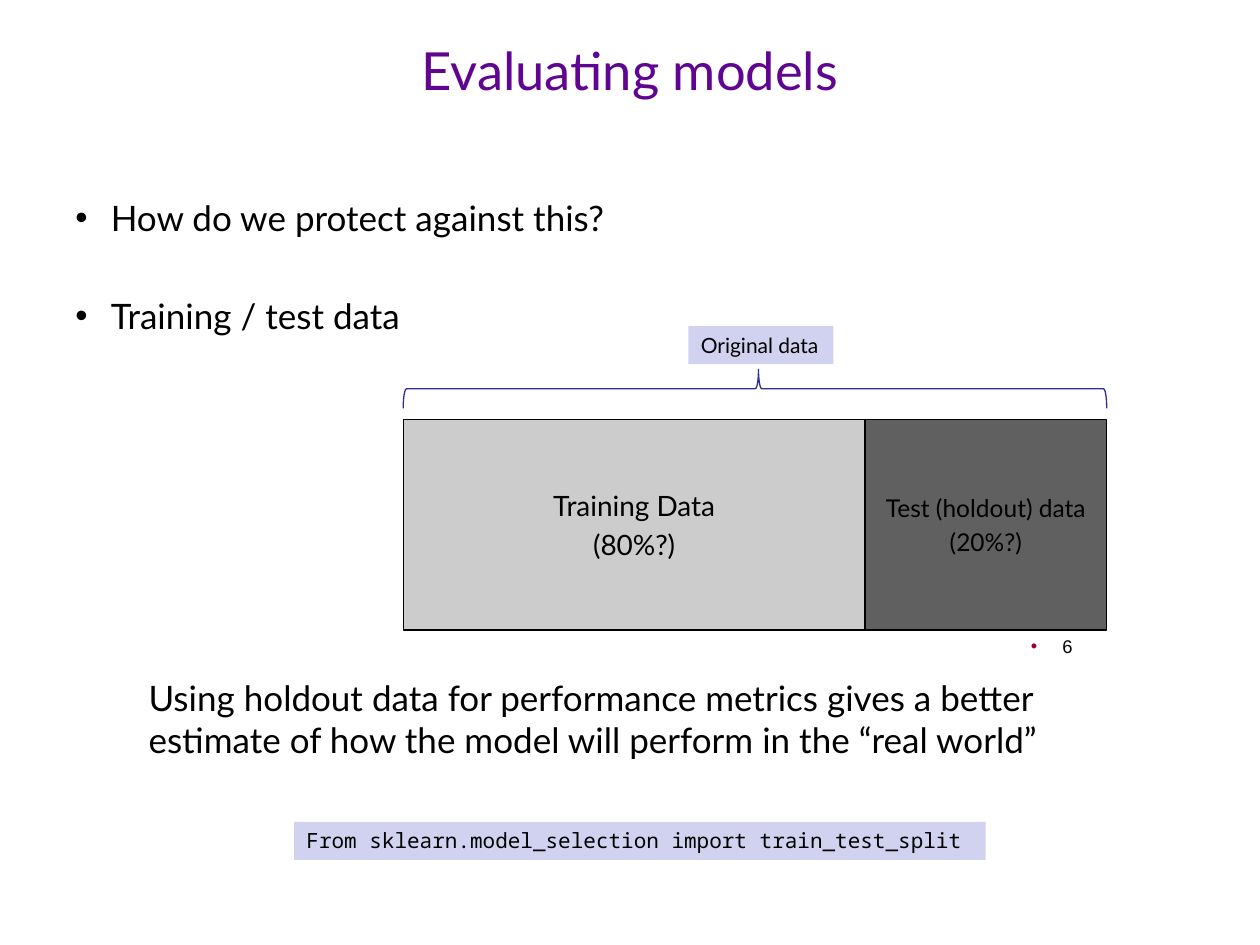
from dataclasses import dataclass
from typing import Any

from lxml import etree
from pptx import Presentation
from pptx.dml.color import RGBColor
from pptx.enum.shapes import MSO_SHAPE
from pptx.enum.text import MSO_ANCHOR, MSO_AUTO_SIZE, PP_ALIGN
from pptx.oxml.ns import qn
from pptx.util import Pt

RECT, BRACE = MSO_SHAPE.RECTANGLE, MSO_SHAPE.LEFT_BRACE
TOP, MIDDLE = MSO_ANCHOR.TOP, MSO_ANCHOR.MIDDLE
LEFT, CENTER, RIGHT = PP_ALIGN.LEFT, PP_ALIGN.CENTER, PP_ALIGN.RIGHT
GROW = MSO_AUTO_SIZE.SHAPE_TO_FIT_TEXT


def rgb(value):
    return RGBColor.from_string(value)


def add_bullet(paragraph, hang, color):
    props = paragraph._p.get_or_add_pPr()
    props.set("marL", str(Pt(hang)))
    props.set("indent", str(-Pt(hang)))
    bullet_color = etree.SubElement(props, qn("a:buClr"))
    etree.SubElement(bullet_color, qn("a:srgbClr"), val=color)
    etree.SubElement(props, qn("a:buFont"), typeface="Arial")
    etree.SubElement(props, qn("a:buChar"), char="•")


def write(frame, *lines, font, size, color="000000", align=LEFT, anchor=TOP,
          wrap=True, grow=False, gap=0, hang=0, bullet="000000"):
    """Put lines into a text frame, one paragraph each."""
    frame.word_wrap = wrap
    frame.vertical_anchor = anchor
    if grow:
        frame.auto_size = GROW
    for number, line in enumerate(lines):
        paragraph = frame.add_paragraph() if number else frame.paragraphs[0]
        if hang:
            add_bullet(paragraph, hang, bullet)
        paragraph.alignment = align
        if number:
            paragraph.space_before = Pt(gap)
        run = paragraph.add_run()
        run.text = line
        run.font.name = font
        run.font.size = Pt(size)
        run.font.color.rgb = rgb(color)


@dataclass
class Deck:
    slide: Any
    font: str = "Lato"
    code_font: str = "Noto Sans Mono"
    label_fill: str = "D1D1F0"
    line_width: float = 0.75

    def text(self, box, *lines, **style):
        shape = self.slide.shapes.add_textbox(*map(Pt, box))
        write(shape.text_frame, *lines, **{"font": self.font, **style})

    def shape(self, kind, box, fill=None, line=None):
        shape = self.slide.shapes.add_shape(kind, *map(Pt, box))
        shape.shadow.inherit = False
        if fill:
            shape.fill.solid()
            shape.fill.fore_color.rgb = rgb(fill)
        else:
            shape.fill.background()
        if line:
            shape.line.color.rgb = rgb(line)
            shape.line.width = Pt(self.line_width)
        else:
            shape.line.fill.background()
        return shape

    def block(self, box, *lines, fill, size):
        shape = self.shape(RECT, box, fill, "000000")
        write(shape.text_frame, *lines, font=self.font, size=size, align=CENTER,
              anchor=MIDDLE, wrap=False, gap=0.2 * size)

    def label(self, box, line, font=None):
        shape = self.shape(RECT, box, self.label_fill)
        write(shape.text_frame, line, font=font or self.font, size=12,
              wrap=False, grow=True)

    def brace_above(self, left, top, width, height, color):
        # A left brace turned a quarter, so its box is upright before rotation
        middle_x, middle_y = left + width / 2, top + height / 2
        box = (middle_x - height / 2, middle_y - width / 2, height, width)
        brace = self.shape(BRACE, box, line=color)
        brace.rotation = 90
        brace.adjustments[0], brace.adjustments[1] = 0.083, 0.495


def main():
    presentation = Presentation()
    presentation.slide_width, presentation.slide_height = Pt(720), Pt(540)
    deck = Deck(presentation.slides.add_slide(presentation.slide_layouts[6]))

    # Title and bullets
    deck.text((36, 10.8, 648, 57.6), "Evaluating models", size=30,
              color="600592", align=CENTER, anchor=MIDDLE)
    deck.text((36, 108.6, 648, 100), "How do we protect against this?",
              "Training / test data", size=20, gap=32, hang=20.25)

    # Page number
    deck.text((452.2, 359.3, 167.8, 37.4), "6", font="Arial", size=10.5,
              align=RIGHT, hang=18, bullet="990033")

    # Split of the data
    left, top, height = 230.4, 239.8, 120.2
    training_width, test_width = 264, 138
    deck.block((left, top, training_width, height),
               "Training Data", "(80%?)", fill="CCCCCC", size=16)
    deck.brace_above(left, 211, training_width + test_width, 22.3, "2F2F98")
    deck.label((393.4, 186.3, 82.8, 21.8), "Original data")
    deck.block((left + training_width, top, test_width, height),
               "Test (holdout) data", "(20%?)", fill="606060", size=14)

    # Code and conclusion
    deck.label((168, 469.6, 395.3, 21.8),
               "From sklearn.model_selection import train_test_split",
               font=deck.code_font)
    deck.text((77.8, 383, 542.2, 55.4),
              "Using holdout data for performance metrics gives a better estimate "
              "of how the model will perform in the “real world”",
              size=20, grow=True)

    presentation.save("out.pptx")


if __name__ == "__main__":
    main()
